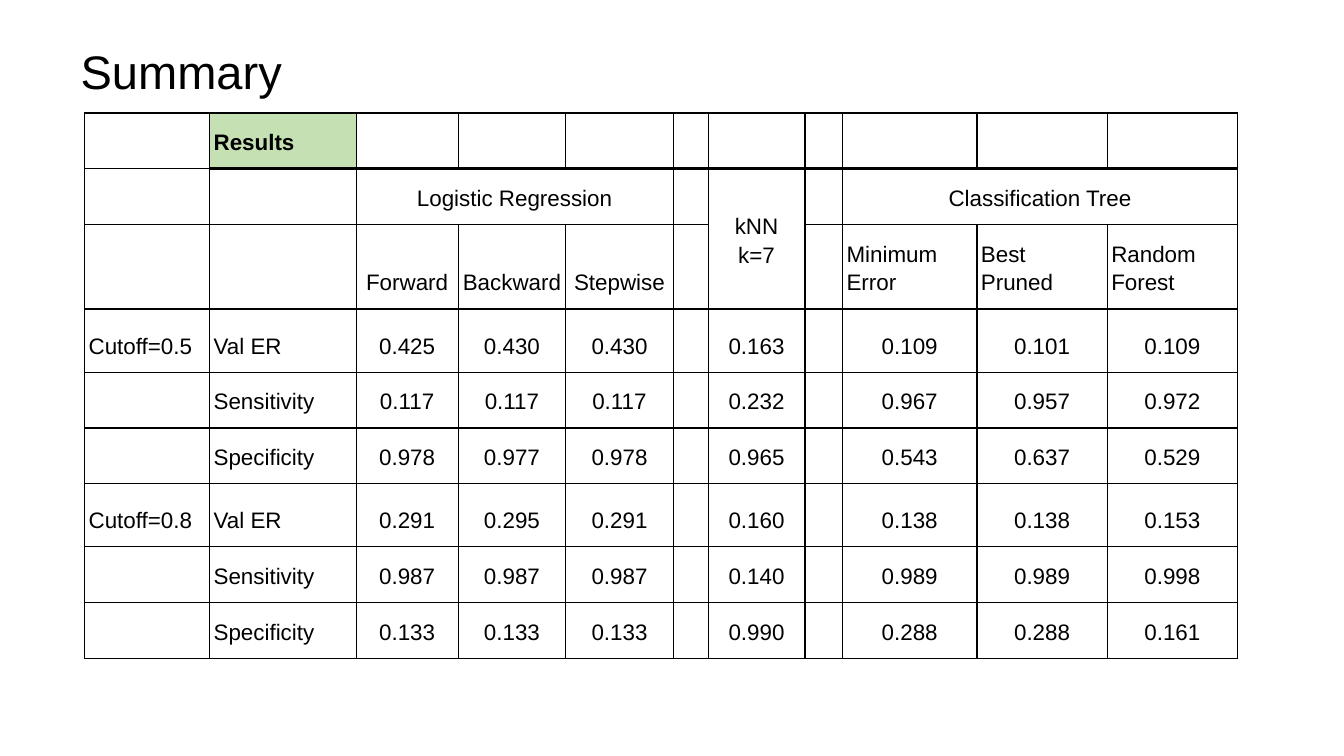
from pptx import Presentation
from pptx import util as u
from pptx.dml.color import RGBColor
from pptx.enum import text
from pptx.oxml import parse_xml
from pptx.oxml.ns import nsdecls, qn

BLACK = RGBColor(0, 0, 0)
WHITE = RGBColor(255, 255, 255)
GREEN = RGBColor(0xC5, 0xE0, 0xB3)
PLAIN_TABLE_STYLE = "{2D5ABB26-0587-4C30-8999-92F81FD0307C}"


def add_border(cell, side, points):
    cell._tc.get_or_add_tcPr().append(parse_xml(
        f'<a:ln{side} {nsdecls("a")} w="{u.Pt(points)}"><a:solidFill>'
        f'<a:srgbClr val="{BLACK}"/></a:solidFill></a:ln{side}>'))


def style_font(paragraph, size, bold=False):
    paragraph.font.name = "Arial"
    paragraph.font.size = u.Pt(size)
    paragraph.font.bold = bold
    paragraph.font.color.rgb = BLACK


presentation = Presentation()
presentation.slide_width = u.Inches(10)
presentation.slide_height = u.Inches(10) * 9 // 16
slide = presentation.slides.add_slide(presentation.slide_layouts[5])

title = slide.shapes.title
title.left, title.top = u.Inches(0.5), u.Inches(0.21)
title.width, title.height = u.Inches(9), u.Inches(0.63)
title.text = "Summary"
frame = title.text_frame
frame.margin_left = frame.margin_right = u.Inches(0.1)
frame.margin_top = frame.margin_bottom = u.Inches(0.1)
frame.vertical_anchor = text.MSO_ANCHOR.BOTTOM
frame.paragraphs[0].alignment = text.PP_ALIGN.LEFT
style_font(frame.paragraphs[0], 25.2)

rows = [
    ["", "Results"] + [""] * 9,
    ["", "", "Logistic Regression", "", "", "", "kNN\nk=7", "", "Classification Tree", "", ""],
    ["", "", "Forward", "Backward", "Stepwise", "", "", "", "Minimum Error", "Best Pruned", "Random Forest"],
    ["Cutoff=0.5", "Val ER", "0.425", "0.430", "0.430", "", "0.163", "", "0.109", "0.101", "0.109"],
    ["", "Sensitivity", "0.117", "0.117", "0.117", "", "0.232", "", "0.967", "0.957", "0.972"],
    ["", "Specificity", "0.978", "0.977", "0.978", "", "0.965", "", "0.543", "0.637", "0.529"],
    ["Cutoff=0.8", "Val ER", "0.291", "0.295", "0.291", "", "0.160", "", "0.138", "0.138", "0.153"],
    ["", "Sensitivity", "0.987", "0.987", "0.987", "", "0.140", "", "0.989", "0.989", "0.998"],
    ["", "Specificity", "0.133", "0.133", "0.133", "", "0.990", "", "0.288", "0.288", "0.161"],
]
column_widths = [0.93, 1.09, 0.76, 0.8, 0.8, 0.26, 0.72, 0.28, 1, 0.97, 0.97]
row_heights = [0.4, 0.4, 0.6, 0.47, 0.4, 0.4, 0.47, 0.4, 0.4]
KNN_COLUMN = 6
FIRST_VALUE_ROW = 3

table = slide.shapes.add_table(
    len(rows), len(column_widths), u.Inches(0.63), u.Inches(0.84),
    u.Inches(sum(column_widths)), u.Inches(sum(row_heights))).table
table.first_row = False
table.horz_banding = False
table._tbl.tblPr.find(qn("a:tableStyleId")).text = PLAIN_TABLE_STYLE
for column, width in zip(table.columns, column_widths):
    column.width = u.Inches(width)
for row, height in zip(table.rows, row_heights):
    row.height = u.Inches(height)

for top, left, bottom, right in [(1, 2, 1, 4), (1, KNN_COLUMN, 2, KNN_COLUMN), (1, 8, 1, 10)]:
    table.cell(top, left).merge(table.cell(bottom, right))

for r, values in enumerate(rows):
    for c, value in enumerate(values):
        cell = table.cell(r, c)
        if cell.is_spanned:
            continue
        is_knn_header = r == 1 and c == KNN_COLUMN
        thick_top = (r == 1 and c > 0) or (r == FIRST_VALUE_ROW and c == KNN_COLUMN)
        thick_bottom = (r == 0 and c > 0) or is_knn_header
        add_border(cell, "L", 0.75)
        add_border(cell, "R", 0.75)
        add_border(cell, "T", 1.5 if thick_top else 0.75)
        add_border(cell, "B", 1.5 if thick_bottom else 0.75)
        cell.fill.solid()
        cell.fill.fore_color.rgb = GREEN if value == "Results" else WHITE
        cell.margin_left = cell.margin_right = u.Inches(0.03)
        cell.margin_top = cell.margin_bottom = u.Inches(0.1)
        cell.vertical_anchor = text.MSO_ANCHOR.MIDDLE if is_knn_header else text.MSO_ANCHOR.BOTTOM
        cell.text = value
        left_aligned = c < 2 or (r == 2 and c >= 8)
        is_number = r >= FIRST_VALUE_ROW and c >= 2
        for paragraph in cell.text_frame.paragraphs:
            paragraph.alignment = text.PP_ALIGN.LEFT if left_aligned else text.PP_ALIGN.CENTER
            paragraph.line_spacing = 1.0 if is_number else 1.15
            style_font(paragraph, 12, value == "Results")

presentation.save("out.pptx")
